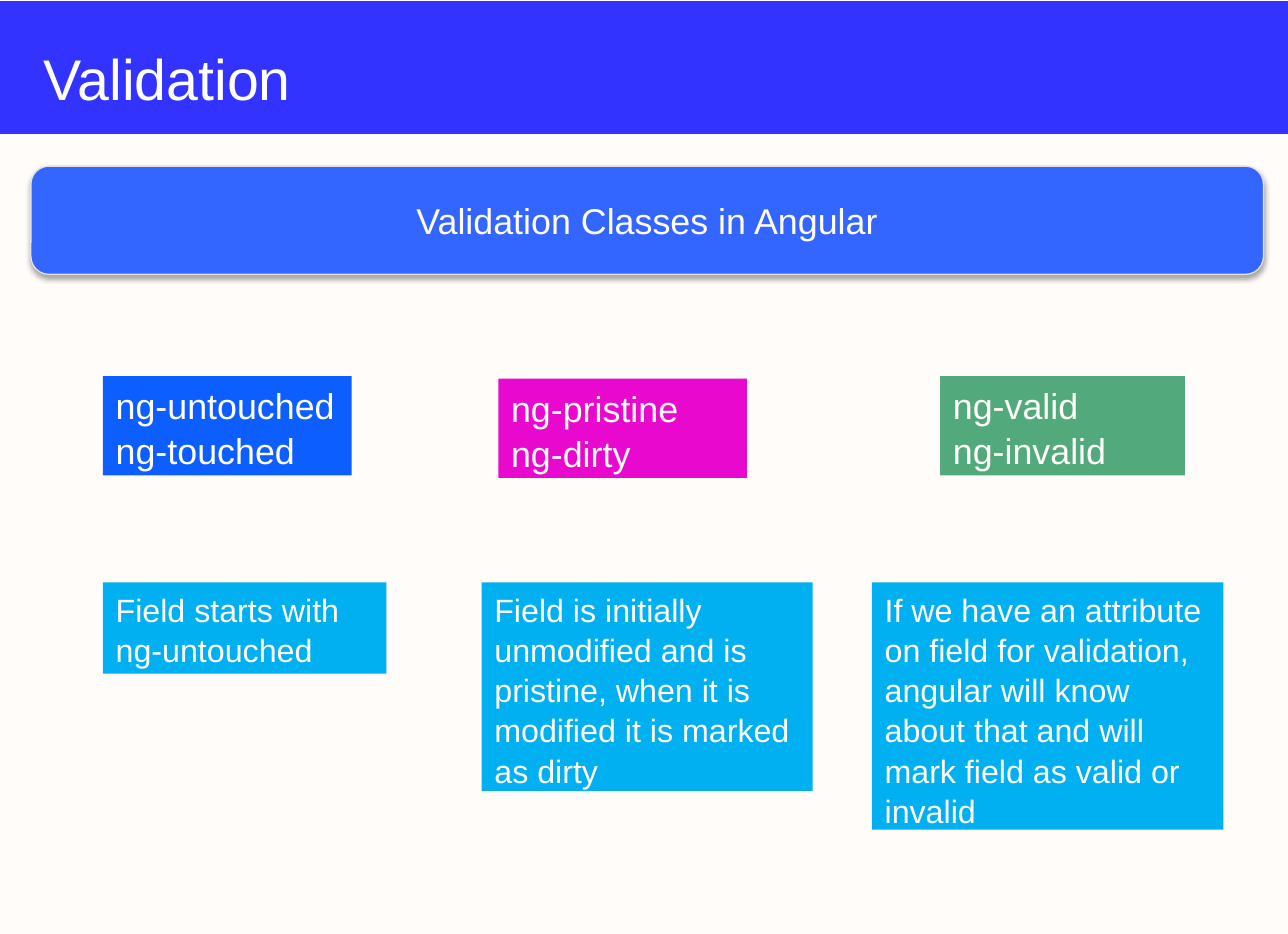
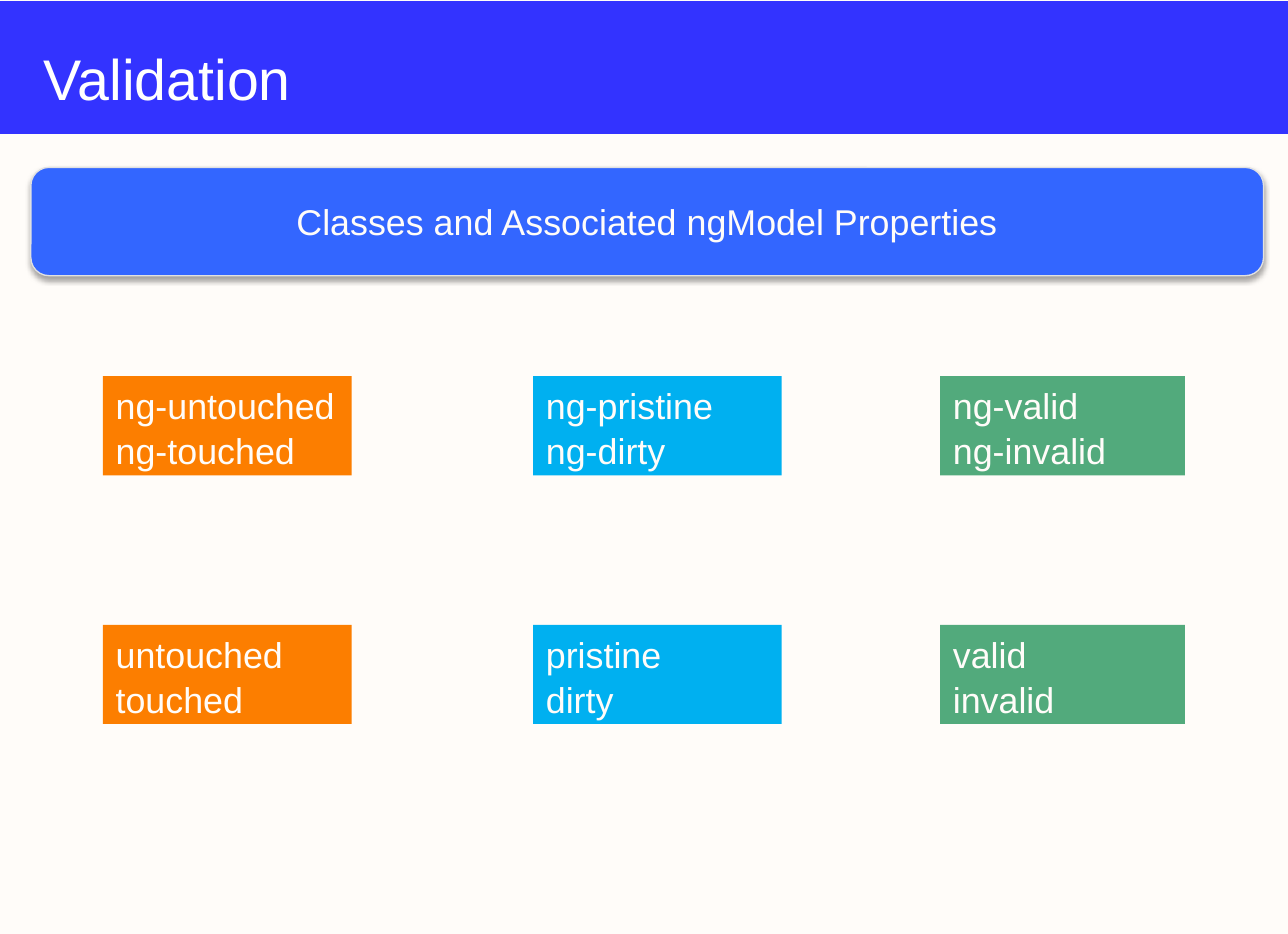
"""Build two slides on Angular validation classes and their ngModel properties."""
from dataclasses import dataclass

from lxml.etree import SubElement
from pptx import Presentation
from pptx.dml.color import RGBColor
from pptx.enum.shapes import MSO_SHAPE
from pptx.enum.text import MSO_ANCHOR, MSO_AUTO_SIZE, PP_ALIGN
from pptx.oxml.ns import qn
from pptx.util import Pt

PX = 9144


@dataclass(frozen=True)
class Theme:
    font: str = "Arial"
    cream: str = "FFFCF9"
    white: str = "FFFFFF"
    band: str = "3333FF"
    banner: str = "3366FF"
    outline: str = "E1E1E1"
    blue: str = "0D5EFF"
    pink: str = "E909CE"
    green: str = "52AA7C"
    sky: str = "00B0F0"
    orange: str = "FC7E00"
    title_size: int = 32
    label_size: int = 20
    note_size: int = 18


theme = Theme()


def add_box(page, place, fill, kind=MSO_SHAPE.RECTANGLE):
    box = page.shapes.add_shape(kind, *(length * PX for length in place))
    box.shadow.inherit = False
    box.fill.solid()
    box.fill.fore_color.rgb = RGBColor.from_string(fill)
    box.line.fill.background()
    return box


def write(box, lines, size, color=theme.cream, align=PP_ALIGN.LEFT, spacing=1.0):
    frame = box.text_frame
    frame.word_wrap = True
    frame.text = "\n".join(lines)
    for para in frame.paragraphs:
        para.alignment = align
        para.line_spacing = spacing
        para.font.name = theme.font
        para.font.size = Pt(size)
        para.font.color.rgb = RGBColor.from_string(color)
    return frame


CLASS_TOP, PROPERTY_TOP, NOTE_TOP = 292, 485, 452
PAIR_HEIGHT = 77
touched = ["ng-untouched", "ng-touched"]
pristine = ["ng-pristine", "ng-dirty"]
valid = ["ng-valid", "ng-invalid"]

class_cards = [
    ((80, CLASS_TOP, 193, PAIR_HEIGHT), theme.blue, touched, theme.label_size),
    ((387, CLASS_TOP + 2, 193, PAIR_HEIGHT), theme.pink, pristine, theme.label_size),
    ((730, CLASS_TOP, 190, PAIR_HEIGHT), theme.green, valid, theme.label_size),
    ((80, NOTE_TOP, 220, 71), theme.sky,
     ["Field starts with ng-untouched"], theme.note_size),
    ((374, NOTE_TOP, 257, 162), theme.sky,
     ["Field is initially unmodified and is pristine, when it is modified "
      "it is marked as dirty"], theme.note_size),
    ((677, NOTE_TOP, 273, 192), theme.sky,
     ["If we have an attribute on field for validation, angular will know "
      "about that and will mark field as valid or invalid"], theme.note_size),
]

columns = [
    (80, 193, theme.orange, touched),
    (414, 193, theme.sky, pristine),
    (730, 190, theme.green, valid),
]
property_cards = [
    ((left, top, width, PAIR_HEIGHT), fill,
     [name.removeprefix(prefix) for name in names], theme.label_size)
    for top, prefix in ((CLASS_TOP, ""), (PROPERTY_TOP, "ng-"))
    for left, width, fill, names in columns
]

slides = [
    ("Validation Classes in Angular", 129, class_cards),
    ("Classes and Associated ngModel Properties", 130, property_cards),
]

deck = Presentation()
deck.slide_width, deck.slide_height = 1000 * PX, 725 * PX

for heading, banner_top, cards in slides:
    page = deck.slides.add_slide(deck.slide_layouts[6])
    page.background.fill.solid()
    page.background.fill.fore_color.rgb = RGBColor.from_string(theme.cream)

    add_box(page, (0, 1, 1000, 103), theme.band)
    title = page.shapes.add_textbox(24 * PX, 27 * PX, 957 * PX, 60 * PX)
    title_frame = write(title, ["Validation"], theme.title_size, theme.white)
    title_frame.vertical_anchor = MSO_ANCHOR.BOTTOM
    title_frame.margin_bottom = 0

    banner = add_box(page, (24, banner_top, 957, 84), theme.banner,
                     MSO_SHAPE.ROUNDED_RECTANGLE)
    banner.line.color.rgb = RGBColor.from_string(theme.outline)
    banner.line.width = Pt(0.75)
    effects = banner._element.spPr.find(qn("a:effectLst"))
    shadow = SubElement(effects, qn("a:outerShdw"), blurRad=str(Pt(3.1)),
                        dist=str(Pt(1.8)), dir="5400000", rotWithShape="0")
    shade = SubElement(shadow, qn("a:srgbClr"), val="000000")
    SubElement(shade, qn("a:alpha"), val="35000")
    banner_frame = write(banner, [heading], theme.label_size, align=PP_ALIGN.CENTER)
    banner_frame.vertical_anchor = MSO_ANCHOR.MIDDLE

    for place, fill, lines, size in cards:
        card = add_box(page, place, fill)
        card_frame = write(card, lines, size, spacing=1.04)
        card_frame.vertical_anchor = MSO_ANCHOR.TOP
        card_frame.auto_size = MSO_AUTO_SIZE.SHAPE_TO_FIT_TEXT

deck.save("out.pptx")
